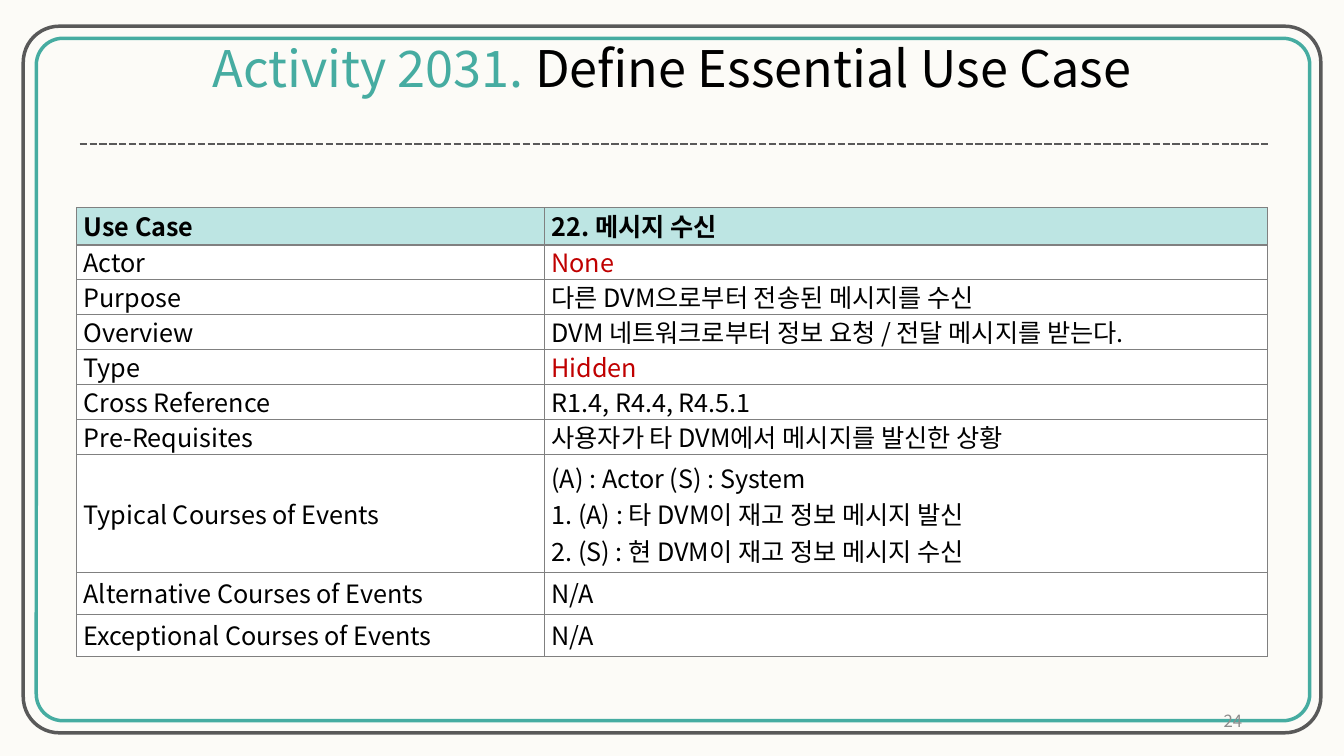
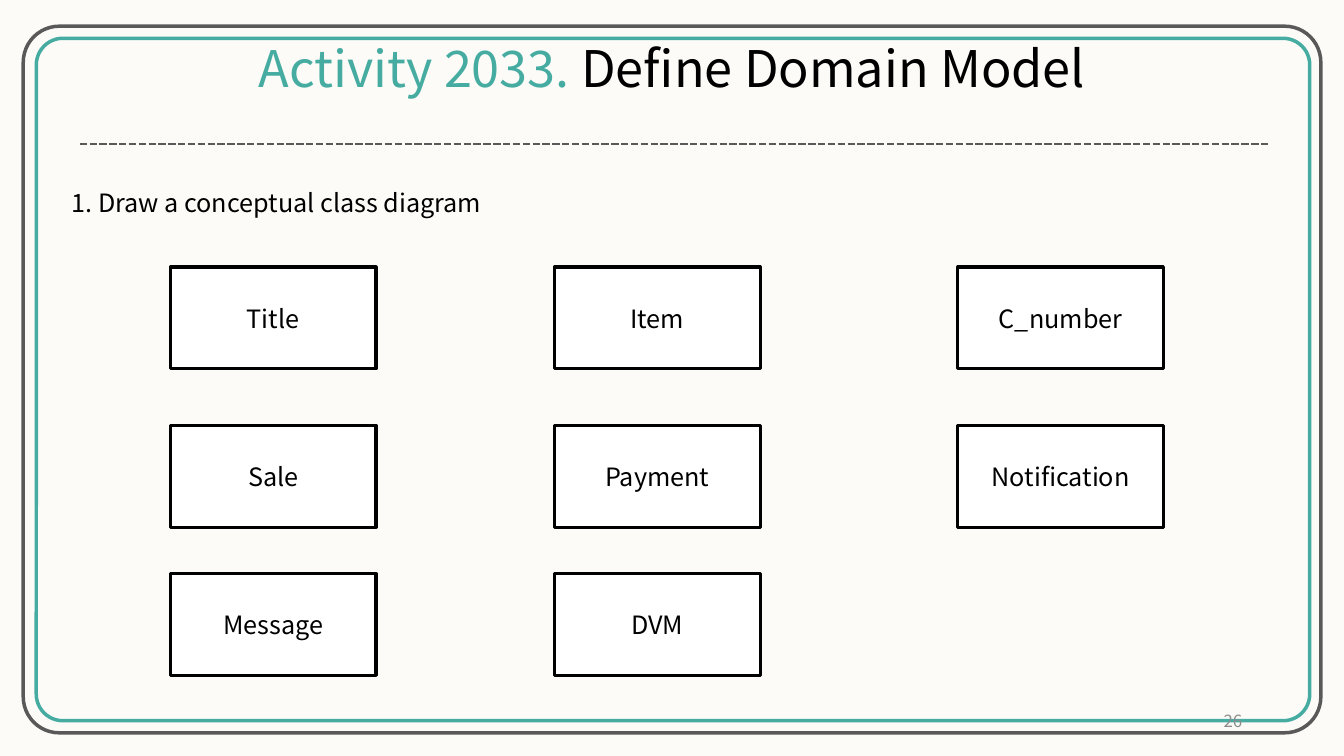
from lxml.etree import SubElement
from pptx import Presentation
from pptx.dml.color import RGBColor
from pptx.enum.dml import MSO_LINE
from pptx.enum.shapes import MSO_CONNECTOR, MSO_SHAPE
from pptx.enum.text import MSO_ANCHOR, MSO_AUTO_SIZE, PP_ALIGN
from pptx.oxml.ns import qn
from pptx.util import Inches, Pt

FONT = "Noto Sans CJK KR"
PAPER, WHITE, BLACK = "FCFBF7", "FFFFFF", "000000"
TEAL, PALE_TEAL, DARK_GRAY = "46ACA1", "BDE5E3", "595959"
GRID_GRAY, NUMBER_GRAY, RED = "808080", "8C8C8C", "C00000"


def color(hex_text):
    return RGBColor.from_string(hex_text)


class Deck:
    """Shared style and the current slide; lengths are percent of the slide."""

    def __init__(self):
        self.presentation = Presentation()
        self.presentation.slide_width = Inches(13.33)
        self.presentation.slide_height = Inches(7.5)
        self.slide = None

    def x(self, percent):
        return round(self.presentation.slide_width * percent / 100)

    def y(self, percent):
        return round(self.presentation.slide_height * percent / 100)

    def area(self, left, top, width, height):
        return self.x(left), self.y(top), self.x(width), self.y(height)

    def style(self, paragraph, size=18, ink=BLACK, bold=False, align=PP_ALIGN.LEFT):
        paragraph.alignment = align
        for run in paragraph.runs:
            run.font.name = FONT
            run.font.size = Pt(size)
            run.font.bold = bold
            run.font.color.rgb = color(ink)
            properties = run._r.get_or_add_rPr()
            SubElement(properties, qn("a:ea"), typeface=FONT)

    # Slide with the shared title, frames, rule and number
    def add_slide(self, activity, topic, number):
        self.slide = self.presentation.slides.add_slide(self.presentation.slide_layouts[5])
        background = self.slide.background.fill
        background.solid()
        background.fore_color.rgb = color(PAPER)
        self.title(activity, topic)
        self.frame((2.7, 5.07, 94.75, 90.27), 0.039, TEAL)
        self.frame((1.73, 3.47, 96.55, 93.47), 0.051, DARK_GRAY)
        self.dashed_rule(5.93, 94.52, 19.07)
        self.text((70.67, 92.67, 22.5, 5.33), str(number), MSO_ANCHOR.MIDDLE,
                  size=12, ink=NUMBER_GRAY, align=PP_ALIGN.RIGHT)

    def title(self, activity, topic):
        title = self.slide.shapes.title
        title.left, title.top, title.width, title.height = self.area(10, 5.2, 80, 9.47)
        text_frame = title.text_frame
        text_frame.auto_size = MSO_AUTO_SIZE.NONE
        text_frame.vertical_anchor = MSO_ANCHOR.TOP
        paragraph = text_frame.paragraphs[0]
        paragraph.line_spacing = 0.9
        for words in (f"{activity} ", topic):
            paragraph.add_run().text = words
        self.style(paragraph, size=36, align=PP_ALIGN.CENTER)
        paragraph.runs[0].font.color.rgb = color(TEAL)

    def frame(self, area, rounding, ink):
        shape = self.slide.shapes.add_shape(MSO_SHAPE.ROUNDED_RECTANGLE, *self.area(*area))
        shape.adjustments[0] = rounding
        shape.shadow.inherit = False
        shape.fill.background()
        shape.line.color.rgb = color(ink)
        shape.line.width = Pt(2.5)

    def dashed_rule(self, left, right, top):
        rule = self.slide.shapes.add_connector(
            MSO_CONNECTOR.STRAIGHT, self.x(left), self.y(top), self.x(right), self.y(top))
        rule.line.color.rgb = color(DARK_GRAY)
        rule.line.width = Pt(1.75)
        rule.line.dash_style = MSO_LINE.SQUARE_DOT
        SubElement(rule._element.spPr, qn("a:effectLst"))

    def text(self, area, words, anchor=MSO_ANCHOR.TOP, **look):
        text_frame = self.slide.shapes.add_textbox(*self.area(*area)).text_frame
        text_frame.word_wrap = True
        text_frame.vertical_anchor = anchor
        text_frame.text = words
        self.style(text_frame.paragraphs[0], **look)

    def class_box(self, area, name):
        shape = self.slide.shapes.add_shape(MSO_SHAPE.RECTANGLE, *self.area(*area))
        shape.shadow.inherit = False
        shape.fill.solid()
        shape.fill.fore_color.rgb = color(WHITE)
        shape.line.color.rgb = color(BLACK)
        shape.line.width = Pt(2.25)
        text_frame = shape.text_frame
        text_frame.vertical_anchor = MSO_ANCHOR.MIDDLE
        text_frame.text = name
        self.style(text_frame.paragraphs[0], align=PP_ALIGN.CENTER)

    def table(self, left, top, column_widths, row_heights, rows, red_words):
        area = self.area(left, top, sum(column_widths), sum(row_heights))
        table = self.slide.shapes.add_table(len(rows), len(column_widths), *area).table
        for column, width in zip(table.columns, column_widths):
            column.width = self.x(width)
        for row, height in zip(table.rows, row_heights):
            row.height = self.y(height)
        for row_index, row in enumerate(rows):
            for column_index, words in enumerate(row):
                ink = RED if words in red_words else BLACK
                self.cell(table.cell(row_index, column_index), words, ink, row_index == 0)

    def cell(self, cell, words, ink, is_header):
        cell.margin_left = cell.margin_right = Inches(0.07)
        cell.margin_top = cell.margin_bottom = 0
        cell.vertical_anchor = MSO_ANCHOR.MIDDLE
        cell.text_frame.text = words
        paragraphs = cell.text_frame.paragraphs
        for paragraph in paragraphs:
            self.style(paragraph, ink=ink, bold=is_header)
            if len(paragraphs) == 1:
                paragraph.line_spacing = 0.95
        # Borders come before the fill in the cell properties
        properties = cell._tc.get_or_add_tcPr()
        for side in ("a:lnL", "a:lnR", "a:lnT", "a:lnB"):
            border = SubElement(properties, qn(side), w=str(Pt(1)))
            fill = SubElement(border, qn("a:solidFill"))
            SubElement(fill, qn("a:srgbClr"), val=GRID_GRAY)
        cell.fill.solid()
        cell.fill.fore_color.rgb = color(PALE_TEAL if is_header else WHITE)


deck = Deck()

# Essential use case
deck.add_slide("Activity 2031.", "Define Essential Use Case", 24)
use_case = [
    ("Use Case", "22. 메시지 수신"),
    ("Actor", "None"),
    ("Purpose", "다른 DVM으로부터 전송된 메시지를 수신"),
    ("Overview", "DVM 네트워크로부터 정보 요청 / 전달 메시지를 받는다."),
    ("Type", "Hidden"),
    ("Cross Reference", "R1.4, R4.4, R4.5.1"),
    ("Pre-Requisites", "사용자가 타 DVM에서 메시지를 발신한 상황"),
    ("Typical Courses of Events",
     "(A) : Actor (S) : System\n"
     "1. (A) : 타 DVM이 재고 정보 메시지 발신\n"
     "2. (S) : 현 DVM이 재고 정보 메시지 수신"),
    ("Alternative Courses of Events", "N/A"),
    ("Exceptional Courses of Events", "N/A"),
]
deck.table(5.7, 27.47, [34.81, 53.79], [4.93] + [4.62] * 6 + [15.65, 5.47, 5.6],
           use_case, red_words=("None", "Hidden"))

# Domain model
deck.add_slide("Activity 2033.", "Define Domain Model", 26)
deck.text((4.58, 24.13, 37.73, 5.33), "1. Draw a conceptual class diagram")
class_columns = (12.68, 41.26, 71.27)
class_rows = {
    35.33: ("Title", "Item", "C_number"),
    56.27: ("Sale", "Payment", "Notification"),
    75.87: ("Message", "DVM"),
}
for top, names in class_rows.items():
    for left, name in zip(class_columns, names):
        deck.class_box((left, top, 15.3, 13.47), name)

deck.presentation.save("out.pptx")
